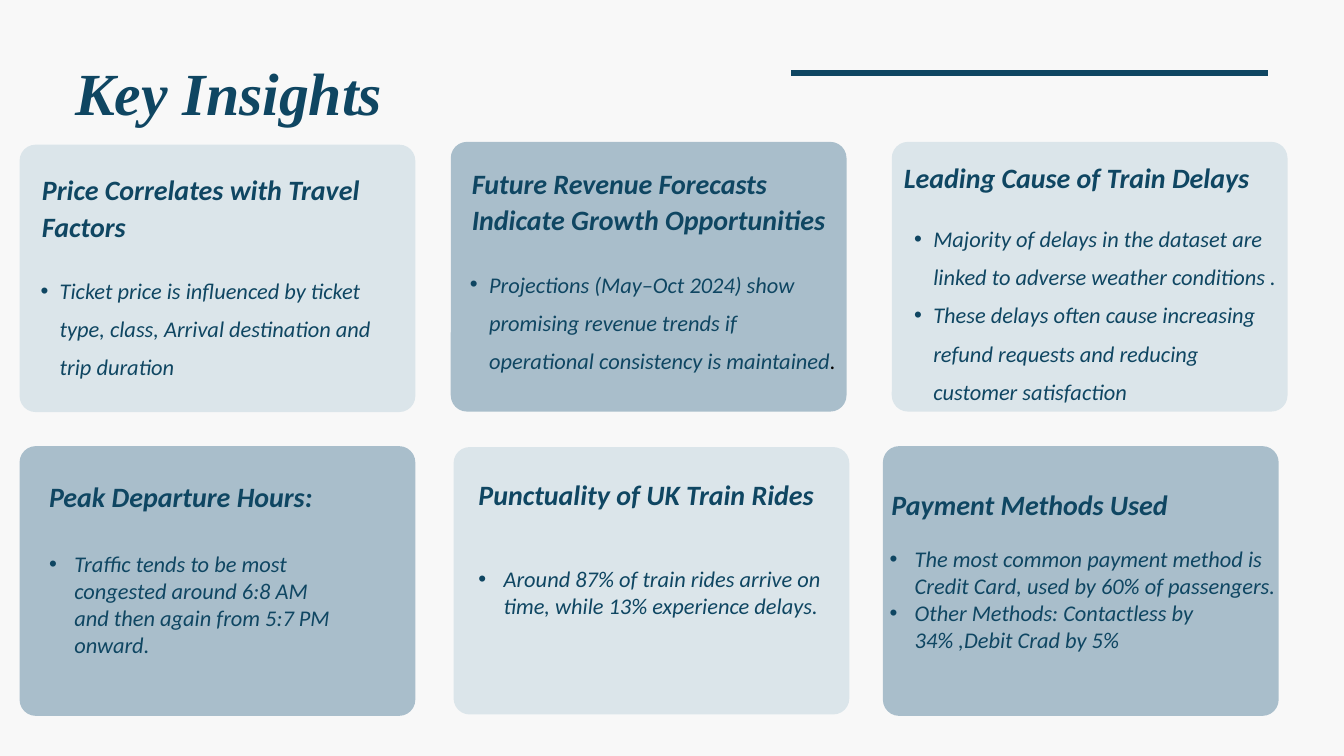
from dataclasses import dataclass
from typing import NamedTuple

from lxml.etree import SubElement
from pptx import Presentation
from pptx.dml.color import RGBColor
from pptx.enum.shapes import MSO_CONNECTOR as Connector, MSO_SHAPE as Preset
from pptx.enum.text import MSO_AUTO_SIZE as AutoSize
from pptx.oxml.ns import qn
from pptx.util import Pt

NAVY, PALE, STEEL, BLACK = "0F4662", "DBE5EA", "A9BECB", "000000"


class Box(NamedTuple):
    left: float
    top: float
    width: float
    height: float


class Piece(NamedTuple):
    text: str
    color: str = NAVY
    italic: bool = True


@dataclass(frozen=True)
class TextStyle:
    size: float
    font: str = "Calibri"
    bold: bool = False
    line_spacing: float | None = None
    inset: bool = True
    indent: float = 0
    hanging: float = 0


@dataclass(frozen=True)
class Card:
    frame: Box
    color: str
    heading_box: Box
    heading: str
    body_box: Box
    points: list[list[Piece]]
    heading_style: TextStyle
    body_style: TextStyle


TITLE = TextStyle(64, "Times New Roman", True, 89.6, False)
TOP_HEADING = TextStyle(30, bold=True, line_spacing=39.2, inset=False)
TOP_BODY = TextStyle(24, line_spacing=40.8, inset=False, indent=41, hanging=20.5)
LOW_HEADING = TextStyle(30, bold=True)
LOW_BODY = TextStyle(24, indent=27, hanging=27)

CARDS = [
    Card(Box(21, 155, 424, 286.5), PALE,
         Box(45, 182, 402, 76), "Price Correlates with Travel Factors",
         Box(23, 285, 402, 120),
         [[Piece("Ticket price is influenced by ticket type, class, "
                 "Arrival destination and trip duration")]],
         TOP_HEADING, TOP_BODY),
    Card(Box(483, 152, 424, 289), STEEL,
         Box(505.5, 175, 402, 76),
         "Future Revenue Forecasts Indicate Growth Opportunities",
         Box(483, 278, 420, 120),
         [[Piece("Projections (May–Oct 2024) show promising revenue trends "
                 "if operational consistency is maintained"),
           Piece(".", BLACK, False)]],
         TOP_HEADING, TOP_BODY),
    Card(Box(955.5, 152, 424, 289), PALE,
         Box(968.5, 169, 402, 37.5), "Leading Cause of Train Delays",
         Box(959, 229.5, 411, 203),
         [[Piece("Majority of delays in the dataset are linked to "
                 "adverse weather conditions .")],
          [Piece("These delays often cause increasing refund requests "
                 "and reducing customer satisfaction")]],
         TOP_HEADING, TOP_BODY),
    Card(Box(21, 478, 424, 289), STEEL,
         Box(45.5, 510.5, 355, 44), "Peak Departure Hours:",
         Box(45.5, 586, 327, 124),
         [[Piece("Traffic tends to be most congested around 6:8 AM "
                 "and then again from 5:7 PM onward.")]],
         LOW_HEADING, LOW_BODY),
    Card(Box(486, 479, 424, 286.5), PALE,
         Box(505.5, 508.5, 396, 44), "Punctuality of UK Train Rides",
         Box(505.5, 602, 396, 65.5),
         [[Piece("Around 87% of train rides arrive on time, "
                 "while 13% experience delays.")]],
         LOW_HEADING, LOW_BODY),
    Card(Box(946, 478, 424, 289), STEEL,
         Box(948, 519, 384, 44), "Payment Methods Used",
         Box(946, 580.5, 438, 124),
         [[Piece("The most common payment method is Credit Card, "
                 "used by 60% of passengers.")],
          [Piece("Other Methods: Contactless by 34% ,Debit Crad by 5%")]],
         LOW_HEADING, LOW_BODY),
]


def paint(color_format, color: str) -> None:
    color_format.rgb = RGBColor.from_string(color)


def add_bullet(paragraph, style: TextStyle) -> None:
    properties = paragraph._p.get_or_add_pPr()
    properties.set("marL", str(Pt(style.indent)))
    properties.set("indent", str(-Pt(style.hanging)))
    SubElement(properties, qn("a:buFont")).set("typeface", "Arial")
    SubElement(properties, qn("a:buChar")).set("char", "•")


def add_text(slide, box: Box, paragraphs: list[list[Piece]], style: TextStyle) -> None:
    frame = slide.shapes.add_textbox(*map(Pt, box)).text_frame
    frame.word_wrap = True
    frame.auto_size = AutoSize.SHAPE_TO_FIT_TEXT
    if not style.inset:
        frame.margin_left = frame.margin_right = 0
        frame.margin_top = frame.margin_bottom = 0
    for index, pieces in enumerate(paragraphs):
        paragraph = frame.add_paragraph() if index else frame.paragraphs[0]
        if style.hanging:
            add_bullet(paragraph, style)
        if style.line_spacing:
            paragraph.line_spacing = Pt(style.line_spacing)
        for piece in pieces:
            run = paragraph.add_run()
            run.text = piece.text
            run.font.name = style.font
            run.font.size = Pt(style.size)
            run.font.bold = style.bold
            run.font.italic = piece.italic
            paint(run.font.color, piece.color)


def add_card(slide, card: Card) -> None:
    shape = slide.shapes.add_shape(Preset.ROUNDED_RECTANGLE, *map(Pt, card.frame))
    shape.adjustments[0] = 0.06
    shape.shadow.inherit = False
    shape.fill.solid()
    paint(shape.fill.fore_color, card.color)
    shape.line.fill.background()
    add_text(slide, card.heading_box, [[Piece(card.heading)]], card.heading_style)
    add_text(slide, card.body_box, card.points, card.body_style)


def add_rule(slide, left: float, right: float, top: float) -> None:
    rule = slide.shapes.add_connector(
        Connector.STRAIGHT, Pt(left), Pt(top), Pt(right), Pt(top))
    rule.line.width = Pt(6)
    paint(rule.line.color, NAVY)
    SubElement(rule._element.spPr, qn("a:effectLst"))


def main() -> None:
    presentation = Presentation()
    presentation.slide_width, presentation.slide_height = Pt(1440), Pt(810)
    slide = presentation.slides.add_slide(presentation.slide_layouts[6])
    slide.background.fill.solid()
    paint(slide.background.fill.fore_color, "F8F8F8")
    add_text(slide, Box(80.5, 47.5, 639, 86.5), [[Piece("Key Insights")]], TITLE)
    add_rule(slide, 848, 1359, 78)
    for card in CARDS:
        add_card(slide, card)
    presentation.save("out.pptx")


if __name__ == "__main__":
    main()
